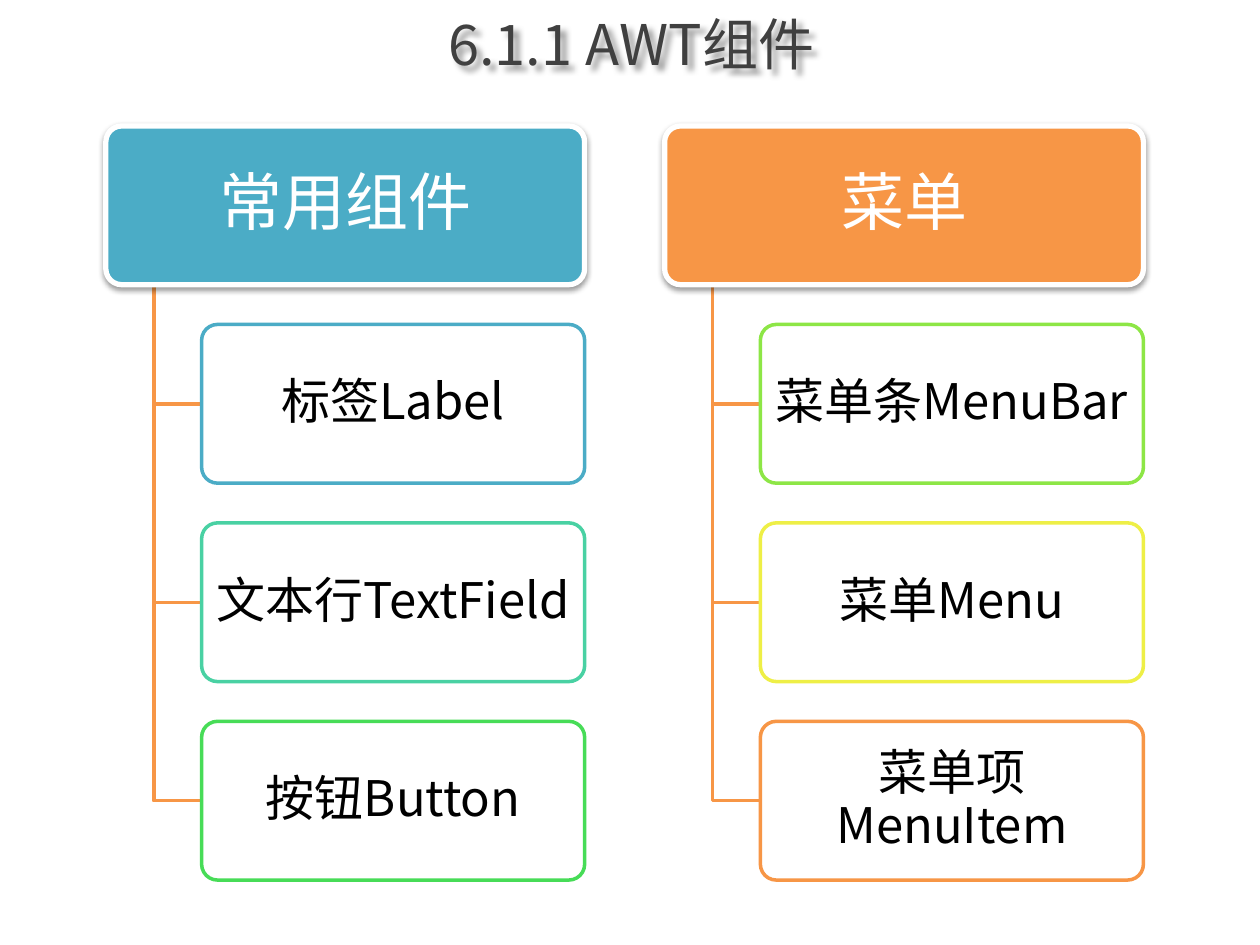
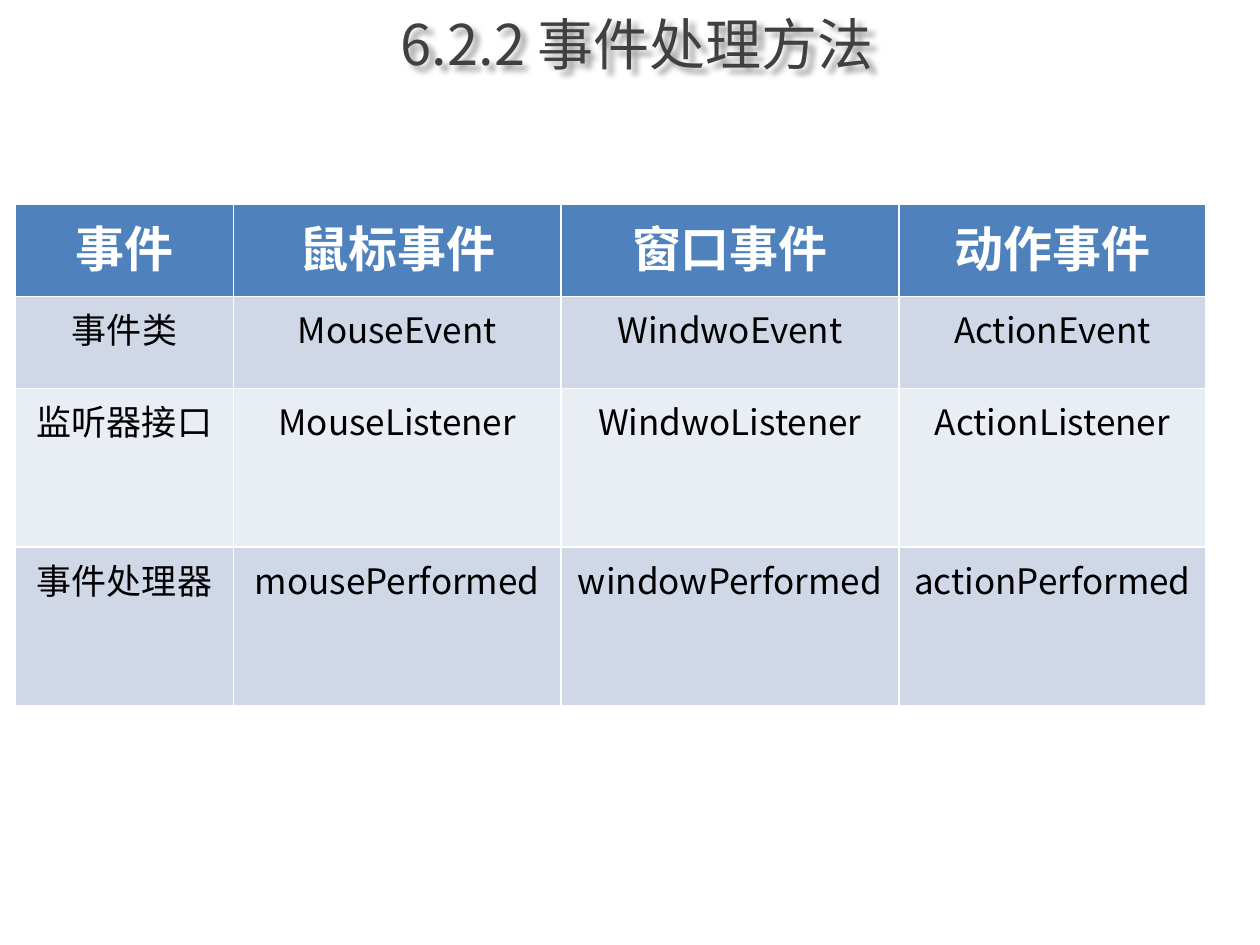
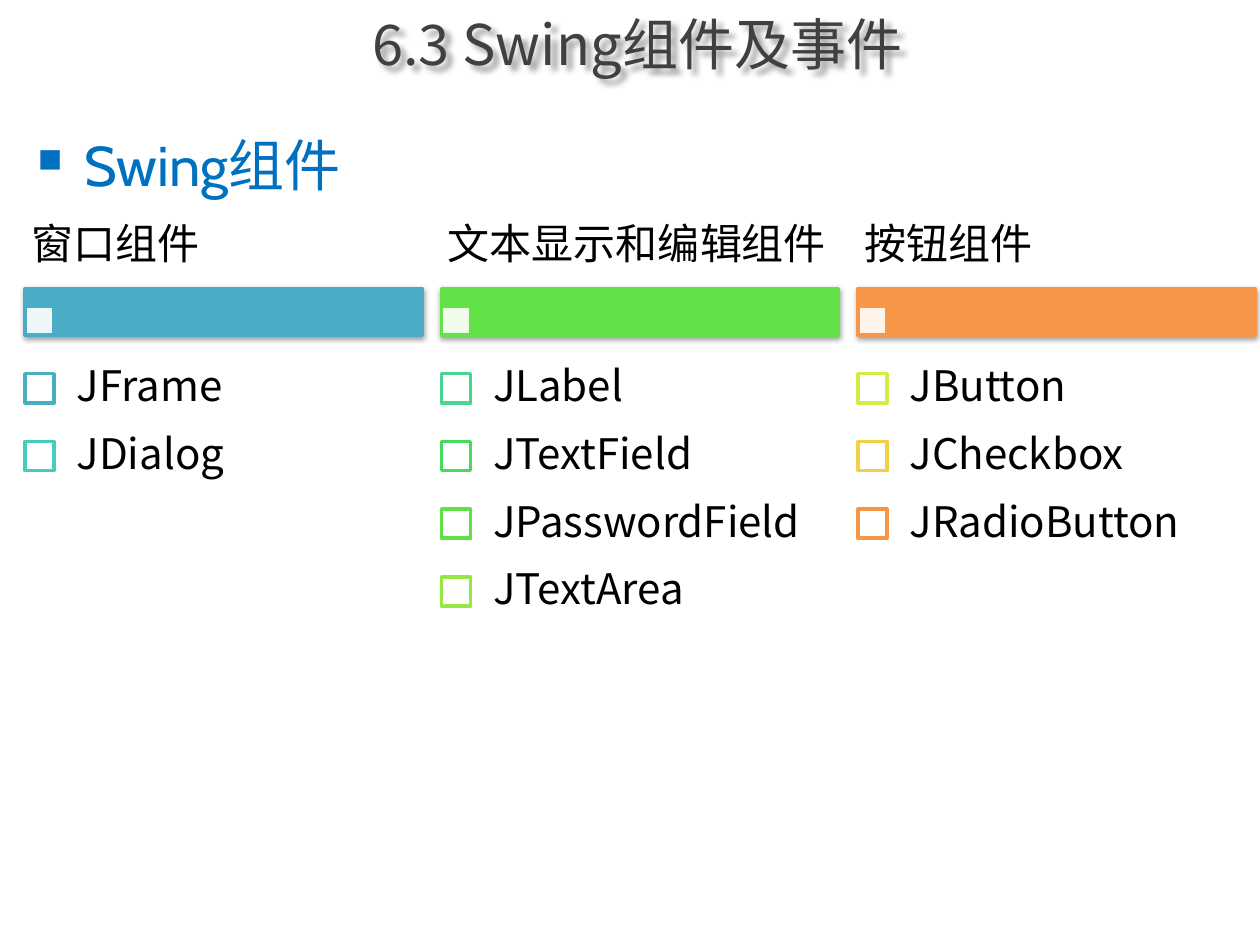
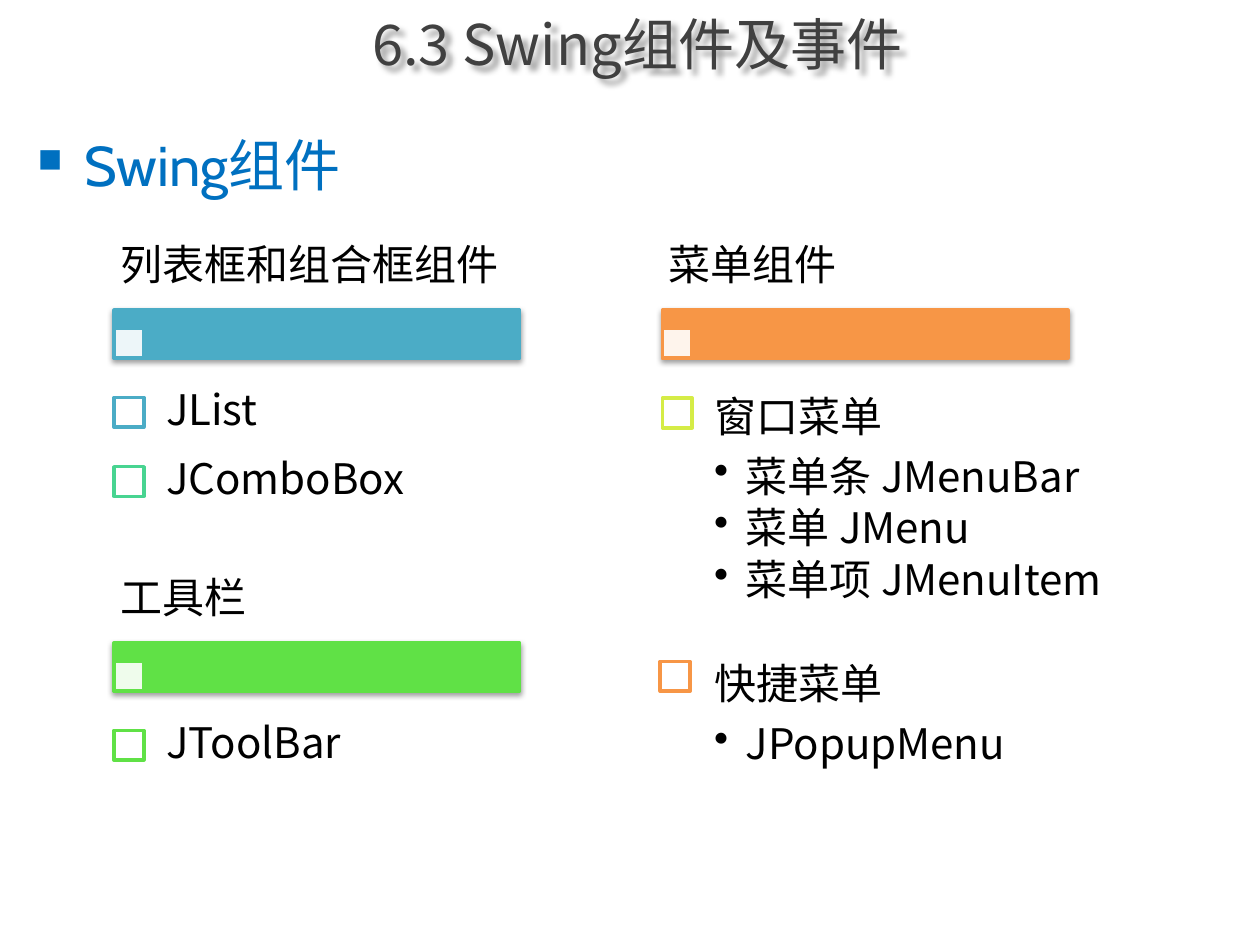
from pptx import Presentation
from pptx.dml.color import RGBColor
from pptx.enum.shapes import MSO_SHAPE
from pptx.enum.text import MSO_ANCHOR, MSO_AUTO_SIZE, PP_ALIGN
from pptx.oxml import parse_xml
from pptx.oxml.ns import nsdecls, qn
from pptx.util import Pt

RECTANGLE = MSO_SHAPE.RECTANGLE
ROUNDED = MSO_SHAPE.ROUNDED_RECTANGLE
TOP, MIDDLE = MSO_ANCHOR.TOP, MSO_ANCHOR.MIDDLE
LEFT, CENTER = PP_ALIGN.LEFT, PP_ALIGN.CENTER
NO_AUTOFIT = MSO_AUTO_SIZE.NONE

FONT = "Noto Sans CJK SC"
WHITE, BLACK, GRAY, BLUE = "FFFFFF", "000000", "404040", "0070C0"
TEAL, ORANGE, GREEN = "4BACC6", "F79646", "60E146"
SHADOW = (
    f'<a:outerShdw {nsdecls("a")} blurRad="{{}}" dist="{{}}" dir="{{}}" algn="ctr" rotWithShape="0">'
    '<a:srgbClr val="000000"><a:alpha val="38000"/></a:srgbClr></a:outerShdw>'
)
BAR_SHADOW = SHADOW.format(Pt(3.1), Pt(1.6), 90 * 60000)
TITLE_SHADOW = SHADOW.format(Pt(3), Pt(4), 45 * 60000)
color = RGBColor.from_string


def add_box(slide, kind, left, top, width, height, fill, line, weight=2, shadow=None, alpha=None):
    shape = slide.shapes.add_shape(kind, Pt(left), Pt(top), Pt(width), Pt(height))
    shape.shadow.inherit = False
    shape.fill.solid()
    shape.fill.fore_color.rgb = color(fill)
    shape.line.color.rgb = color(line)
    shape.line.width = Pt(weight)
    if shadow:
        shape._element.spPr.find(qn("a:effectLst")).append(parse_xml(shadow))
    if alpha:
        fill_color = shape._element.spPr.find(qn("a:solidFill"))[0]
        fill_color.append(parse_xml(f'<a:alpha {nsdecls("a")} val="{alpha * 1000}"/>'))
    return shape


def write(frame, lines, size, font_color, align=LEFT, font=FONT, spacing=None):
    frame.text = "\n".join(lines)
    for paragraph in frame.paragraphs:
        paragraph.alignment = align
        paragraph.line_spacing = spacing
        paragraph.font.size = Pt(size)
        paragraph.font.name = font
        paragraph.font.color.rgb = color(font_color)
        east_asian = parse_xml(f'<a:ea {nsdecls("a")} typeface="{FONT}"/>')
        paragraph._p.pPr.find(qn("a:defRPr")).append(east_asian)


presentation = Presentation()
presentation.slide_width, presentation.slide_height = Pt(720), Pt(540)
title_only = presentation.slide_layouts[5]

titles = ["6.1.1 AWT组件 ", "6.2.2 事件处理方法", "6.3 Swing组件及事件", "6.3 Swing组件及事件"]
slides = []
for text in titles:
    slide = presentation.slides.add_slide(title_only)
    title = slide.shapes.title
    title.left, title.top, title.width, title.height = Pt(51.8), Pt(0), Pt(625), Pt(49)
    title.text_frame.auto_size = NO_AUTOFIT
    title.text_frame.vertical_anchor = MIDDLE
    write(title.text_frame, [text], 32, GRAY, CENTER)
    title.shadow.inherit = False
    title._element.spPr.find(qn("a:effectLst")).append(parse_xml(TITLE_SHADOW))
    slides.append(slide)
awt_slide, event_slide, swing_slide, menu_slide = slides

trees = [
    ("常用组件", TEAL, [("标签Label", TEAL), ("文本行TextField", "49D1A3"), ("按钮Button", "47DC57")]),
    ("菜单", ORANGE, [("菜单条MenuBar", "8DE646"), ("菜单Menu", "EEEF46"), ("菜单项MenuItem", ORANGE)]),
]
box_height, header_width, row_pitch = 90.7, 273.6, 113.4
for column, (header, header_color, leaves) in enumerate(trees):
    left, top = 60.5 + column * 319.3, 72
    stem, leaf_left = left + header_width * 0.1, left + header_width * 0.2
    nodes = [(header, left, top, header_width, header_color, WHITE, 3, BAR_SHADOW, 36, WHITE)]
    for row, (text, line_color) in enumerate(leaves, 1):
        leaf_top = top + row * row_pitch
        elbow = awt_slide.shapes.build_freeform(Pt(stem), Pt(top + box_height), scale=1.0)
        leaf_middle = Pt(leaf_top + box_height / 2)
        elbow.add_line_segments([(Pt(stem), leaf_middle), (Pt(leaf_left), leaf_middle)], close=False)
        branch = elbow.convert_to_shape()
        branch.shadow.inherit = False
        branch.fill.background()
        branch.line.color.rgb = color(ORANGE)
        branch.line.width = Pt(2)
        nodes.append((text, leaf_left, leaf_top, header_width * 0.8, WHITE, line_color, 2, None, 28, BLACK))
    for text, node_left, node_top, width, fill, line_color, weight, shadow, size, font_color in nodes:
        node = add_box(awt_slide, ROUNDED, node_left, node_top, width, box_height,
                       fill, line_color, weight, shadow)
        node.adjustments[0] = 0.1
        frame = node.text_frame
        frame.word_wrap = True
        frame.vertical_anchor = MIDDLE
        frame.margin_left = frame.margin_right = Pt(size * 0.15)
        frame.margin_top = frame.margin_bottom = Pt(size * 0.1)
        write(frame, [text], size, font_color, CENTER, spacing=0.9)

event_rows = [
    ["事件", "鼠标事件", "窗口事件", "动作事件"],
    ["事件类", "MouseEvent", "WindwoEvent", "ActionEvent"],
    ["监听器接口", "MouseListener", "WindwoListener", "ActionListener"],
    ["事件处理器", "mousePerformed", "windowPerformed", "actionPerformed"],
]
column_widths, row_heights = [124.5, 187.2, 193, 175.7], [52.5, 52.5, 90.7, 90.7]
row_fills = ["4F81BD", "D0D8E8", "E9EDF4", "D0D8E8"]
table = event_slide.shapes.add_table(
    4, 4, Pt(8.9), Pt(116.9), Pt(sum(column_widths)), Pt(sum(row_heights))).table
for index, width in enumerate(column_widths):
    table.columns[index].width = Pt(width)
for row, texts in enumerate(event_rows):
    table.rows[row].height = Pt(row_heights[row])
    is_header = row == 0
    for column, text in enumerate(texts):
        cell = table.cell(row, column)
        cell.fill.solid()
        cell.fill.fore_color.rgb = color(row_fills[row])
        write(cell.text_frame, [text], 28 if is_header else 20, WHITE if is_header else BLACK, CENTER)
        cell.text_frame.paragraphs[0].font.bold = is_header

bulleted = []
for slide in (swing_slide, menu_slide):
    body = slide.shapes.add_textbox(Pt(14.4), Pt(71.3), Pt(692), Pt(459.4))
    body.text_frame.word_wrap = True
    write(body.text_frame, ["Swing组件"], 32, BLUE, font="Cabin")
    heading = body.text_frame.paragraphs[0]
    heading.space_before = Pt(6.4)
    bulleted.append((heading, "■", 60, 27))

panels = [
    (swing_slide, 14.4, 116.8, 226.8, "窗口组件", TEAL, [("JFrame", TEAL), ("JDialog", "49CDBB")]),
    (swing_slide, 252.4, 116.8, 226.8, "文本显示和编辑组件", GREEN,
     [("JLabel", "48D491"), ("JTextField", "47DA61"), ("JPasswordField", GREEN), ("JTextArea", "98E746")]),
    (swing_slide, 490.4, 116.8, 226.8, "按钮组件", ORANGE,
     [("JButton", "D5EC46"), ("JCheckbox", "F2CF46"), ("JRadioButton", ORANGE)]),
    (menu_slide, 65.2, 128.2, 231.8, "列表框和组合框组件", TEAL, [("JList", TEAL), ("JComboBox", "48D491")]),
    (menu_slide, 65.2, 318.4, 231.8, "工具栏", GREEN, [("JToolBar", GREEN)]),
    (menu_slide, 378.5, 128.2, 231.8, "菜单组件", ORANGE, []),
]
labels = []
for slide, left, top, width, heading, bar_color, items in panels:
    scale = width / 226.8
    marker = 16.6 * scale
    add_box(slide, RECTANGLE, left, top + 48 * scale, width, 26.7 * scale, bar_color, bar_color,
            shadow=BAR_SHADOW)
    add_box(slide, RECTANGLE, left, top + 58.1 * scale, marker, marker, WHITE, bar_color, alpha=90)
    labels.append((slide, left, top, width, 47.7 * scale, [heading], 3.6, 2.2))
    for row, (text, marker_color) in enumerate(items):
        item_top = top + (85.6 + row * 38.7) * scale
        add_box(slide, RECTANGLE, left, item_top + 11.2 * scale, marker, marker, WHITE, marker_color)
        labels.append((slide, left + 15.9 * scale, item_top, width - 15.9 * scale, 38.7 * scale,
                       [text], 13.5, 13.5))

menus = [
    (378.5, 227.5, 222.5, 290.2, 126.7, "D5EC46",
     ["窗口菜单", "菜单条 JMenuBar", "菜单 JMenu", "菜单项 JMenuItem"]),
    (377.3, 378, 366.5, 216, 85, ORANGE, ["快捷菜单", "JPopupMenu"]),
]
for marker_left, marker_top, text_top, width, height, marker_color, lines in menus:
    add_box(menu_slide, RECTANGLE, marker_left, marker_top, 17, 17, WHITE, marker_color)
    labels.append((menu_slide, 394.6, text_top, width, height, lines, 13.5, 13.5))

for slide, left, top, width, height, lines, side_margin, end_margin in labels:
    frame = slide.shapes.add_textbox(Pt(left), Pt(top), Pt(width), Pt(height)).text_frame
    frame.word_wrap = True
    frame.vertical_anchor = MIDDLE
    frame.margin_left = frame.margin_right = Pt(side_margin)
    frame.margin_top = frame.margin_bottom = Pt(end_margin)
    write(frame, lines, 24, BLACK, spacing=0.9)
    frame.paragraphs[0].space_after = Pt(8.4)
    for paragraph in frame.paragraphs[1:]:
        paragraph.level = 1
        paragraph.space_after = Pt(3.6)
        bulleted.append((paragraph, "•", 100, 18))

for paragraph, character, percent, indent in bulleted:
    properties = paragraph._p.pPr
    properties.set("marL", str(Pt(indent)))
    properties.set("indent", str(-Pt(indent)))
    defaults = properties.find(qn("a:defRPr"))
    defaults.addprevious(parse_xml(f'<a:buSzPct {nsdecls("a")} val="{percent * 1000}"/>'))
    defaults.addprevious(parse_xml(f'<a:buChar {nsdecls("a")} char="{character}"/>'))

presentation.save("out.pptx")
